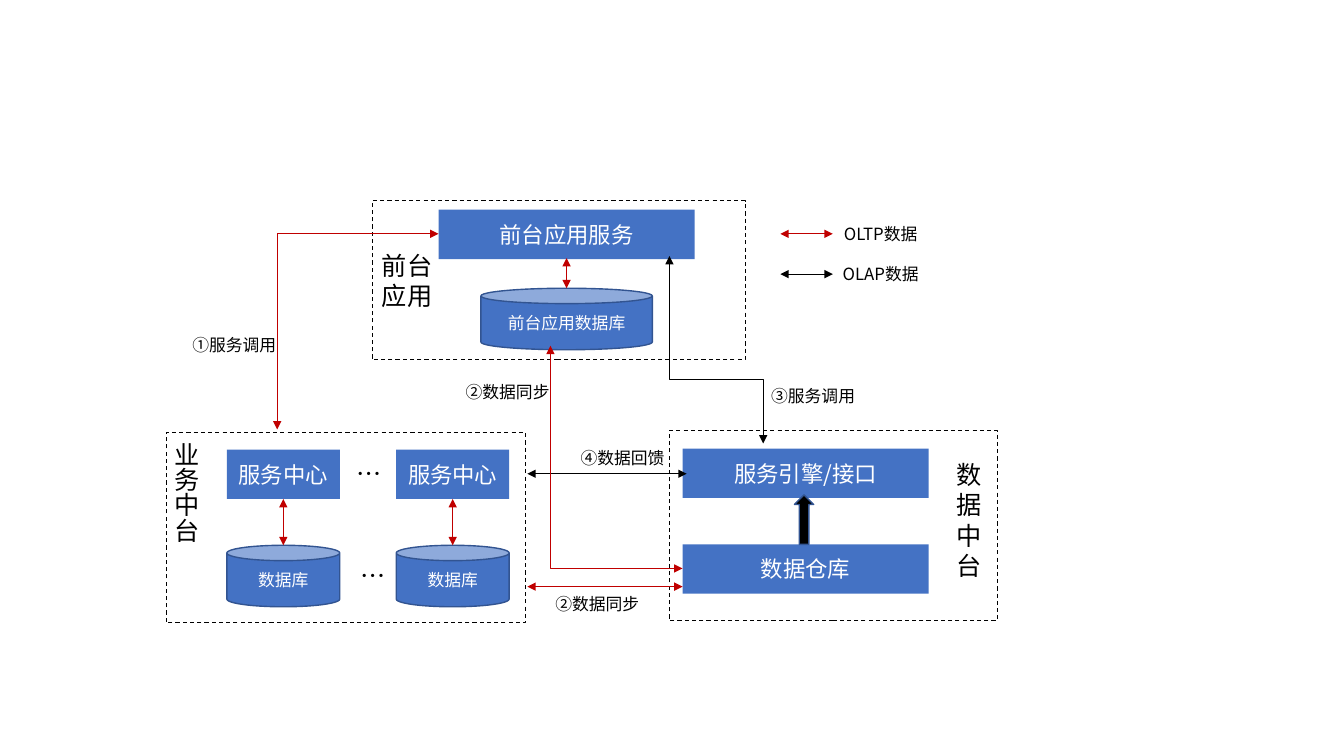
import pptx
import pptx.util
import pptx.dml.color
import pptx.enum.dml
import pptx.enum.shapes
import pptx.enum.text
import pptx.oxml
from pptx.oxml.ns import qn

Inches = pptx.util.Inches
Pt = pptx.util.Pt
Kind = pptx.enum.shapes.MSO_SHAPE
Link = pptx.enum.shapes.MSO_CONNECTOR
Align = pptx.enum.text.PP_ALIGN
Anchor = pptx.enum.text.MSO_ANCHOR

FONT = "Noto Sans CJK SC"
BLUE, EDGE, RED, BLACK, WHITE = "4472C4", "325491", "C00000", "000000", "FFFFFF"

# Content: dashed frames as (text, box, vertical)
frames = [
    ("业务中台", (1.65, 4.29, 3.56, 1.89), True),
    ("前台\n应用", (3.69, 1.99, 3.7, 1.58), False),
    ("", (6.64, 4.27, 3.25, 1.89), False),
]
services = [
    ("前台应用服务", (4.35, 2.08, 2.54, 0.49)),
    ("服务引擎/接口", (6.77, 4.45, 2.44, 0.49)),
    ("数据仓库", (6.77, 5.4, 2.44, 0.49)),
]
databases = [("前台应用数据库", (4.77, 2.86, 1.7, 0.61))]
# Straight arrows as (start, end, colour)
arrows = [
    ((5.62, 2.56), (5.62, 2.86), RED),
    ((6.77, 5.82), (5.23, 5.82), RED),
    ((6.81, 4.7), (5.23, 4.7), BLACK),
]
# Business centres repeat at these left edges
CENTRE_LEFTS, CENTRE_WIDTH = (2.25, 3.93), 1.12
for left in CENTRE_LEFTS:
    services.append(("服务中心", (left, 4.46, CENTRE_WIDTH, 0.49)))
    databases.append(("数据库", (left, 5.41, CENTRE_WIDTH, 0.61)))
    middle = left + CENTRE_WIDTH / 2
    arrows.append(((middle, 4.95), (middle, 5.41), RED))

legend = [("OLTP数据", 2.32, RED), ("OLAP数据", 2.72, BLACK)]
labels = [
    ("①服务调用", 1.36, 3.27),
    ("②数据同步", 4.07, 3.74),
    ("②数据同步", 4.96, 5.84),
    ("④数据回馈", 5.21, 4.39),
    ("③服务调用", 7.1, 3.78),
]
for name, y, colour in legend:
    arrows.append(((8.26, y), (7.74, y), colour))
    labels.append((name, 7.77, y - 0.15))
dots = [(3.44, 4.5), (3.48, 5.51)]

deck = pptx.Presentation()
deck.slide_width, deck.slide_height = Inches(13.33), Inches(7.5)
page = deck.slides.add_slide(deck.slide_layouts[6])


def rgb(value):
    return pptx.dml.color.RGBColor.from_string(value)


def write(box, text, size, colour, align=Align.CENTER):
    box.text_frame.text = text
    for para in box.text_frame.paragraphs:
        para.alignment = align
        para.font.size = Pt(size)
        para.font.color.rgb = rgb(colour)
        para.font.name = FONT
        east = para.font._element.makeelement(qn("a:ea"), {"typeface": FONT})
        para.font._element.find(qn("a:latin")).addnext(east)


def add_shape(kind, place, fill=None, line=None, width=1):
    shape = page.shapes.add_shape(kind, *map(Inches, place))
    shape.shadow.inherit = False
    if fill:
        shape.fill.solid()
        shape.fill.fore_color.rgb = rgb(fill)
    else:
        shape.fill.background()
    if line:
        shape.line.color.rgb = rgb(line)
        shape.line.width = Pt(width)
    else:
        shape.line.fill.background()
    shape.text_frame.word_wrap = True
    shape.text_frame.vertical_anchor = Anchor.MIDDLE
    return shape


def add_text(text, place, size, align=Align.CENTER, wrap=True):
    box = page.shapes.add_textbox(*map(Inches, place))
    box.text_frame.word_wrap = wrap
    box.text_frame.auto_size = pptx.enum.text.MSO_AUTO_SIZE.SHAPE_TO_FIT_TEXT
    write(box, text, size, BLACK, align)


def add_arrow(start, end, colour, kind=Link.STRAIGHT):
    arrow = page.shapes.add_connector(kind, *map(Inches, start + end))
    arrow.line.color.rgb = rgb(colour)
    arrow.line.width = Pt(0.5)
    line = arrow.line._get_or_add_ln()
    for tag in ("a:headEnd", "a:tailEnd"):
        line.append(line.makeelement(qn(tag), {"type": "triangle"}))
    props = arrow._element.spPr
    props.append(props.makeelement(qn("a:effectLst"), {}))
    return arrow


def add_corner(start, end, colour):
    """One bend: across first, then up or down."""
    arrow = add_arrow(start, end, colour, Link.ELBOW)
    arrow._element.spPr.find(qn("a:prstGeom")).set("prst", "bentConnector2")


def add_step(start, end, colour, bend):
    """Two bends, down first: an elbow turned by 270 degrees about its centre."""
    (x1, y1), (x2, y2) = start, end
    cx, cy = (x1 + x2) / 2, (y1 + y2) / 2
    half_w, half_h = (y2 - y1) / 2, (x2 - x1) / 2
    arrow = add_arrow((cx + half_w, cy - half_h), (cx - half_w, cy + half_h), colour, Link.ELBOW)
    props = arrow._element.spPr
    props.find(qn("a:xfrm")).set("rot", str(270 * 60000))
    geometry = props.find(qn("a:prstGeom"))
    guides = geometry.find(qn("a:avLst"))
    guides.append(guides.makeelement(qn("a:gd"), {"name": "adj1", "fmla": f"val {round(bend * 100000)}"}))


# Frames
for name, place, vertical in frames:
    frame = add_shape(Kind.RECTANGLE, place, line=BLACK, width=0.75)
    frame.line.dash_style = pptx.enum.dml.MSO_LINE.DASH
    if vertical:
        frame.text_frame.vertical_anchor = Anchor.BOTTOM
        frame.text_frame._txBody.bodyPr.set("vert", "eaVert")
    if name:
        write(frame, name, 18, BLACK, Align.LEFT)

# Services and databases
for name, place in services:
    write(add_shape(Kind.RECTANGLE, place, BLUE), name, 16, WHITE)
for name, place in databases:
    write(add_shape(Kind.CAN, place, BLUE, EDGE), name, 12, WHITE)
add_shape(Kind.UP_ARROW, (7.88, 4.91, 0.19, 0.49), BLACK, EDGE)

# Arrows
for start, end, colour in arrows:
    add_arrow(start, end, colour)
add_corner((4.35, 2.32), (2.75, 4.26), RED)
add_corner((6.77, 5.64), (5.46, 3.43), RED)
add_step((6.64, 2.54), (7.57, 4.4), BLACK, 0.66)

# Labels
for name, left, top in labels:
    add_text(name, (left, top, 1.93, 0.3), 12)
for left, top in dots:
    add_text("…", (left, top, 0.38, 0.4), 18, Align.LEFT, wrap=False)
add_text("数据中台", (9.39, 4.51, 0.32, 1.31), 18)

deck.save("out.pptx")
